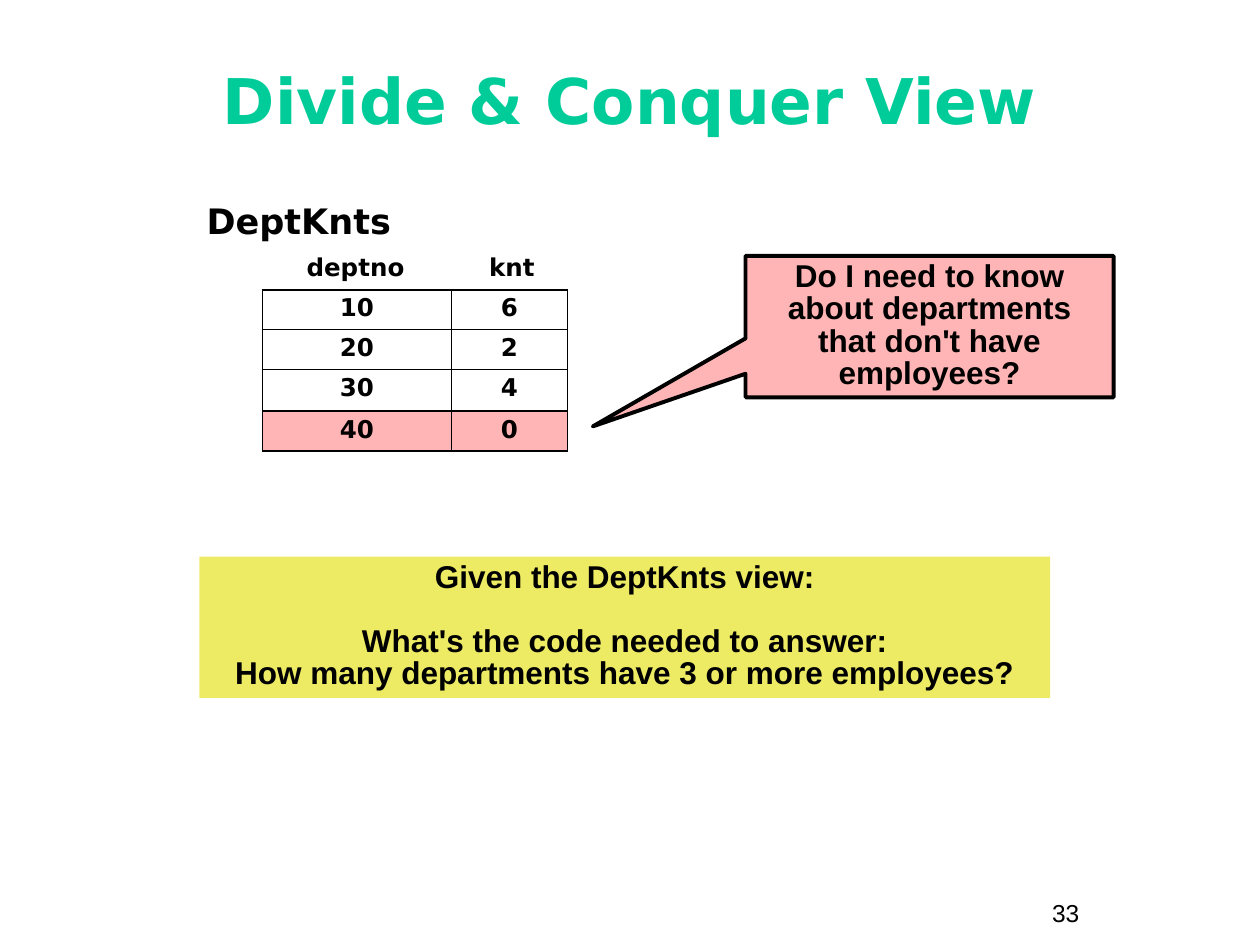
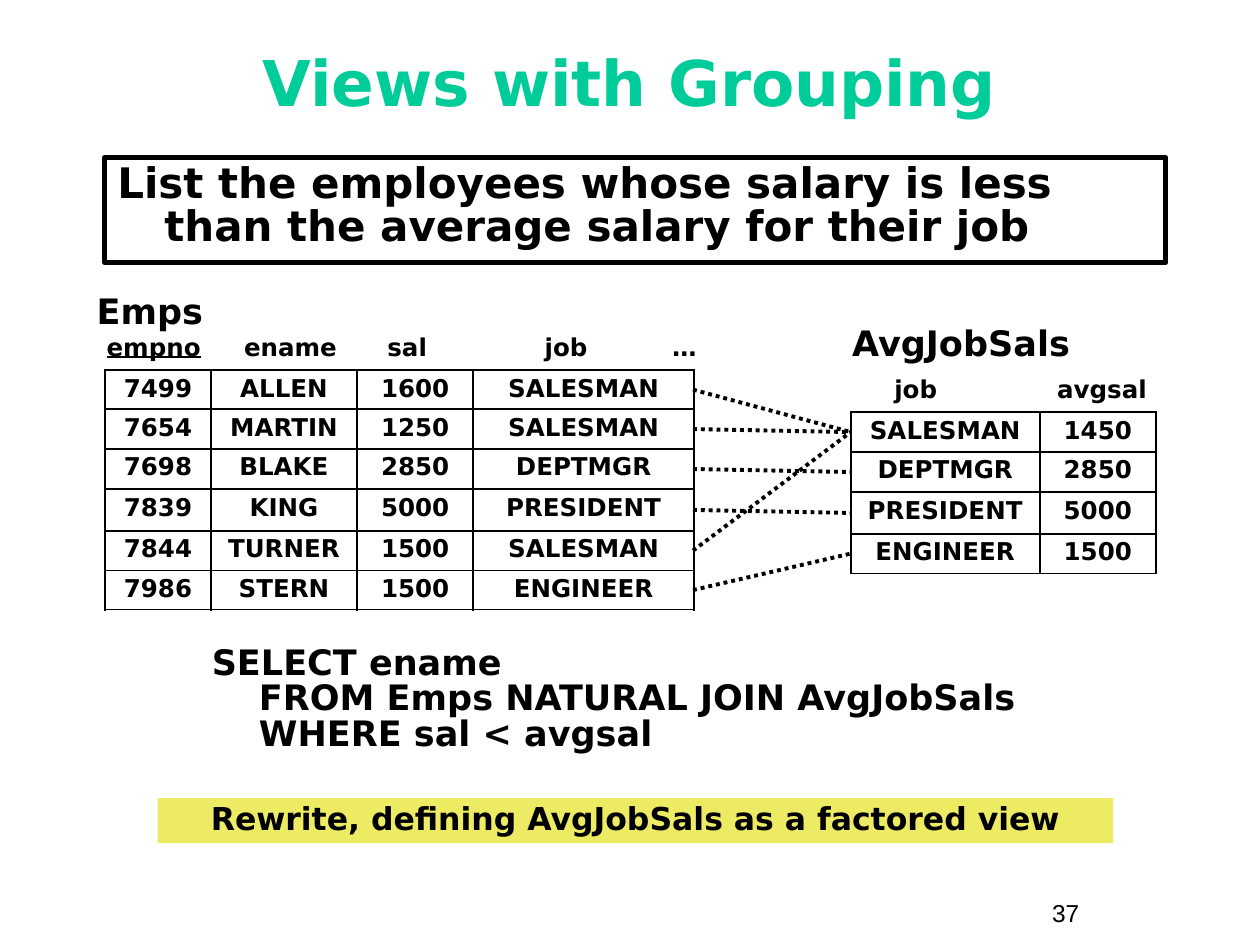
import pptx
import pptx.dml.color
import pptx.enum.dml
import pptx.enum.shapes
import pptx.enum.text
import pptx.oxml
import pptx.oxml.ns
import pptx.util
from lxml import etree

Cm = pptx.util.Cm
Pt = pptx.util.Pt
ALIGN = pptx.enum.text.PP_ALIGN
ANCHOR = pptx.enum.text.MSO_ANCHOR
SHAPE = pptx.enum.shapes.MSO_SHAPE

SANS, ARIAL = "DejaVu Sans", "Arial"
BLACK, GREEN, PINK, YELLOW = "000000", "00CC99", "FFB5B5", "EDEA63"
HANGING = 0.95
AVERAGE_COLUMNS = [3.81, 2.34]
AVERAGE_ROWS = [0.8, 0.81, 0.84, 0.8]
EMPLOYEE_COLUMNS = [2.13, 2.95, 2.34, 4.45]
EMPLOYEE_ROWS = [0.79, 0.8, 0.81, 0.84, 0.8, 0.79]

DEPARTMENTS = [("10", "6"), ("20", "2"), ("30", "4"), ("40", "0")]
EMPLOYEES = [
    ("7499", "ALLEN", "1600", "SALESMAN"),
    ("7654", "MARTIN", "1250", "SALESMAN"),
    ("7698", "BLAKE", "2850", "DEPTMGR"),
    ("7839", "KING", "5000", "PRESIDENT"),
    ("7844", "TURNER", "1500", "SALESMAN"),
    ("7986", "STERN", "1500", "ENGINEER"),
]
AVERAGES = [("SALESMAN", "1450"), ("DEPTMGR", "2850"),
            ("PRESIDENT", "5000"), ("ENGINEER", "1500")]


def color(value):
    return pptx.dml.color.RGBColor.from_string(value)


def child(parent, tag, **attributes):
    return etree.SubElement(parent, pptx.oxml.ns.qn(tag), **attributes)


def add_span(para, text, size, font=SANS, ink=BLACK, bold=True, underline=False):
    span = para.add_run()
    span.text = text
    span.font.name = font
    span.font.size = Pt(size)
    span.font.bold = bold
    span.font.underline = underline
    span.font.color.rgb = color(ink)


def write(para, text, size, align=ALIGN.LEFT, spacing=1.0, hanging=0, **style):
    """Fill a paragraph, with a line break at each newline."""
    para.alignment = align
    para.line_spacing = spacing
    if hanging:
        properties = para._p.get_or_add_pPr()
        properties.set("marL", str(Cm(hanging)))
        properties.set("indent", str(-Cm(hanging)))
    for number, line in enumerate(text.split("\n")):
        if number:
            para.add_line_break()
        add_span(para, line, size, **style)


def place(shape, left, top, width, height):
    shape.left, shape.top = Cm(left), Cm(top)
    shape.width, shape.height = Cm(width), Cm(height)


def prepare(frame, anchor=ANCHOR.TOP):
    frame.word_wrap = True
    frame.auto_size = pptx.enum.text.MSO_AUTO_SIZE.NONE
    frame.vertical_anchor = anchor
    return frame.paragraphs[0]


def add_text(page, area, text, size, **style):
    box = page.shapes.add_textbox(*map(Cm, area))
    write(prepare(box.text_frame), text, size, **style)


def add_panel(page, kind, area, fill, text, font=SANS):
    """Add a filled shape with centred bold text."""
    panel = page.shapes.add_shape(kind, *map(Cm, area))
    panel.shadow.inherit = False
    panel.fill.solid()
    panel.fill.fore_color.rgb = color(fill)
    panel.line.fill.background()
    write(prepare(panel.text_frame), text, 18, align=ALIGN.CENTER,
          spacing=0.85, font=font)
    return panel


def outline(shape, width):
    shape.line.color.rgb = color(BLACK)
    shape.line.width = Pt(width)


def add_page(deck, layout, title, title_height, number, spacing=1.0):
    """Add a page with its green title and page number."""
    page = deck.slides.add_slide(deck.slide_layouts[layout])
    heading = page.shapes.title
    place(heading, 0.84, 0.84, 23.7, title_height)
    write(prepare(heading.text_frame, ANCHOR.MIDDLE), title, 36,
          align=ALIGN.CENTER, spacing=spacing, ink=GREEN)
    add_text(page, (20.96, 17.98, 2.34, 0.86), number, 14, font=ARIAL, bold=False)
    return page


def add_column_names(page, area, names, stops, key=False):
    """Put column names at tab stops; a key column's name is underlined."""
    box = page.shapes.add_textbox(*map(Cm, area))
    para = prepare(box.text_frame)
    add_span(para, names[0], 14, underline=key)
    add_span(para, "".join("\t" + name for name in names[1:]), 14)
    tabs = child(para._p.get_or_add_pPr(), "a:tabLst")
    for stop in stops:
        child(tabs, "a:tab", pos=str(Cm(stop)), algn="l")


def border(cell):
    properties = cell._tc.get_or_add_tcPr()
    for place_in_order, side in enumerate(("a:lnL", "a:lnR", "a:lnT", "a:lnB")):
        line = child(properties, side, w=str(Pt(1.08)))
        child(child(line, "a:solidFill"), "a:srgbClr", val=BLACK)
        properties.insert(place_in_order, line)


def add_grid(page, left, top, widths, heights, rows, marked=None):
    """Add a bordered table; the row numbered marked is pink."""
    table = page.shapes.add_table(len(rows), len(widths), Cm(left), Cm(top),
                                  Cm(sum(widths)), Cm(sum(heights))).table
    table.first_row = table.horz_banding = False
    for column, width in zip(table.columns, widths):
        column.width = Cm(width)
    for row, height in zip(table.rows, heights):
        row.height = Cm(height)
    for r, values in enumerate(rows):
        for c, value in enumerate(values):
            cell = table.cell(r, c)
            write(cell.text_frame.paragraphs[0], value, 14,
                  align=ALIGN.CENTER, spacing=0.9)
            if r == marked:
                cell.fill.solid()
                cell.fill.fore_color.rgb = color(PINK)
            else:
                cell.fill.background()
            border(cell)


def row_middle(top, heights, row):
    return top + sum(heights[:row]) + heights[row] / 2


def add_dotted_line(page, x1, y1, x2, y2):
    line = page.shapes.add_connector(pptx.enum.shapes.MSO_CONNECTOR.STRAIGHT,
                                     Cm(x1), Cm(y1), Cm(x2), Cm(y2))
    outline(line, 2.25)
    line.line.dash_style = pptx.enum.dml.MSO_LINE.ROUND_DOT
    child(line._element.spPr, "a:effectLst")


def add_job_links(page, left, top, right, right_top):
    """Join each employee row to the average of the same job."""
    jobs = [job for job, average in AVERAGES]
    for row, employee in enumerate(EMPLOYEES):
        add_dotted_line(page, left, row_middle(top, EMPLOYEE_ROWS, row), right,
                        row_middle(right_top, AVERAGE_ROWS, jobs.index(employee[-1])))


def build_divide_and_conquer(deck):
    page = add_page(deck, 5, "Divide & Conquer View", 2.34, "33")
    add_column_names(page, (5.93, 4.95, 7.2, 0.86), ["deptno", "knt"], [3.68])
    add_grid(page, 5.29, 5.84, AVERAGE_COLUMNS, AVERAGE_ROWS, DEPARTMENTS, marked=3)
    callout = add_panel(page, SHAPE.RECTANGULAR_CALLOUT, (15.03, 5.16, 7.42, 2.85), PINK,
                        "Do I need to know about departments that don't have employees?",
                        font=ARIAL)
    callout.adjustments[0], callout.adjustments[1] = -0.915, 0.706
    outline(callout, 2.25)
    question = add_panel(page, SHAPE.RECTANGLE, (4.02, 11.22, 17.15, 2.85), YELLOW,
                         "Given the DeptKnts view:", font=ARIAL)
    para = question.text_frame.add_paragraph()
    write(para, "What's the code needed to answer:\n"
          "How many departments have 3 or more employees?", 18,
          align=ALIGN.CENTER, spacing=0.85, font=ARIAL)
    para.space_before = Pt(18.3)
    add_text(page, (3.38, 4.02, 5.29, 1), "DeptKnts", 20,
             align=ALIGN.CENTER, spacing=0.85)


def build_grouping(deck):
    page = add_page(deck, 1, "Views with Grouping", 1.9, "37", spacing=0.8)
    task = page.placeholders[1]
    place(task, 2.11, 3.18, 21.39, 2.11)
    outline(task, 3)
    para = prepare(task.text_frame)
    write(para, "List the employees whose salary is less "
          "than the average salary for their job", 24, spacing=0.85, hanging=HANGING)
    para.space_before = Pt(3)
    child(para._p.get_or_add_pPr(), "a:buNone")

    add_text(page, (1.7, 5.72, 5.93, 1.12), "Emps", 20)
    add_column_names(page, (1.9, 6.56, 13.12, 0.86),
                     ["empno", "ename", "sal", "job", "…"],
                     [2.77, 5.66, 8.83, 11.4], key=True)
    add_grid(page, 2.12, 7.46, EMPLOYEE_COLUMNS, EMPLOYEE_ROWS, EMPLOYEES)
    add_text(page, (16.93, 6.35, 5.93, 1.12), "AvgJobSals", 20)
    add_column_names(page, (17.78, 7.41, 6.35, 0.86), ["job", "avgsal"], [3.28])
    add_grid(page, 17.15, 8.31, AVERAGE_COLUMNS, AVERAGE_ROWS, AVERAGES)
    add_job_links(page, 13.97, 7.46, 17.15, 8.31)

    add_text(page, (4.02, 12.91, 17.15, 2.41),
             "SELECT ename\nFROM Emps NATURAL JOIN AvgJobSals\nWHERE sal < avgsal",
             20, spacing=0.85, hanging=HANGING)
    add_panel(page, SHAPE.RECTANGLE, (3.18, 16.09, 19.26, 0.91), YELLOW,
              "Rewrite, defining AvgJobSals as a factored view")


def main():
    deck = pptx.Presentation()
    deck.slide_width, deck.slide_height = Cm(25.4), Cm(19.05)
    build_divide_and_conquer(deck)
    build_grouping(deck)
    deck.save("out.pptx")


if __name__ == "__main__":
    main()
